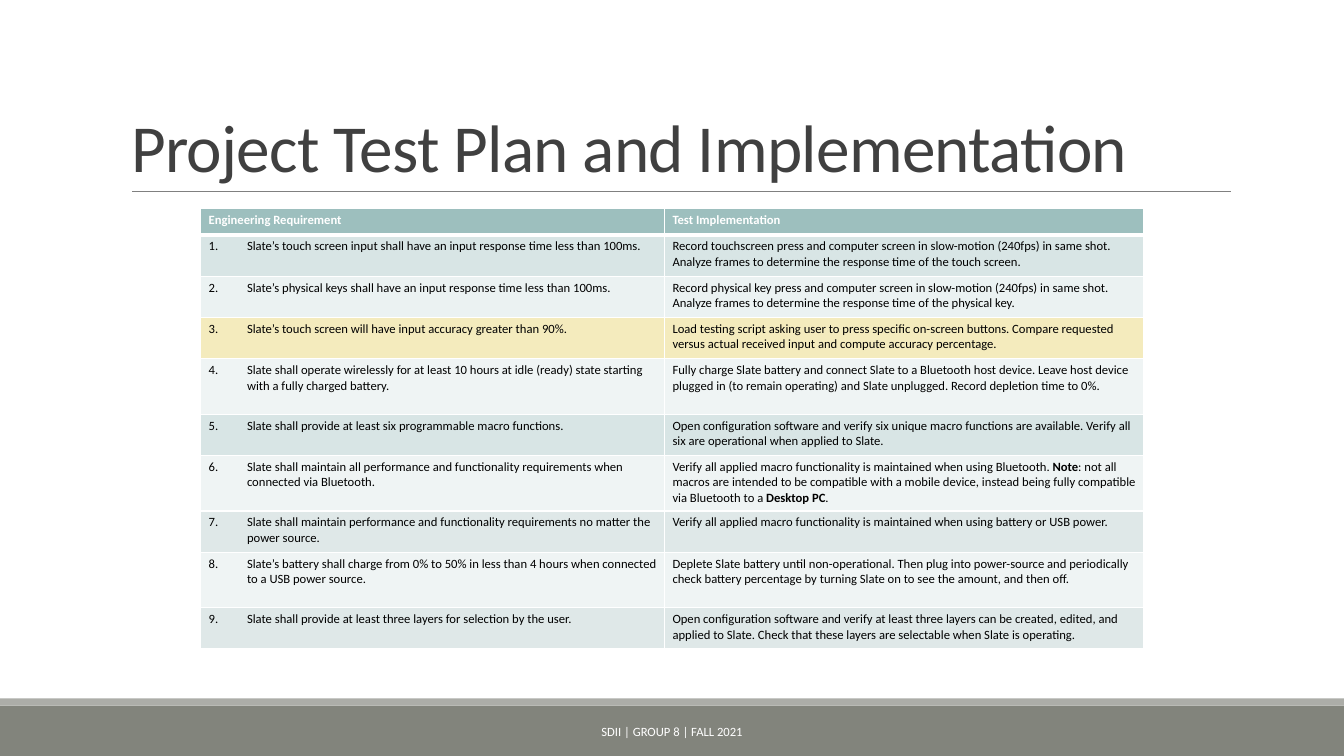
from typing import NamedTuple

from lxml.etree import SubElement
from pptx import Presentation
from pptx.dml.color import RGBColor
from pptx.enum.shapes import MSO_CONNECTOR, MSO_SHAPE
from pptx.enum.text import MSO_ANCHOR, MSO_AUTO_SIZE, PP_ALIGN
from pptx.oxml.ns import qn
from pptx.util import Inches, Pt

FONT = "Calibri"
HUES = {
    "white": "FFFFFF", "black": "000000", "title": "404040", "rule": "808080",
    "foot": "82847C", "strip": "ACADA8", "head": "9DBFBE", "teal": "D8E5E5",
    "pale": "EBF2F2", "gold": "F4EBBD", "mist": "EFF4F4", "sage": "DFE8E8",
}


class Band(NamedTuple):
    top: float
    height: float
    hue: str


class Test(NamedTuple):
    need: str
    plan: str
    hue: str
    height: float = 0.41


BANDS = [Band(7, 0.5, "foot"), Band(6.93, 0.07, "strip")]
HEAD = Test("Engineering Requirement", "Test Implementation", "head", 0.26)
TESTS = [
    Test("Slate’s touch screen input shall have an input response time less than 100ms.",
         "Record touchscreen press and computer screen in slow-motion (240fps) in same shot. "
         "Analyze frames to determine the response time of the touch screen.", "teal"),
    Test("Slate’s physical keys shall have an input response time less than 100ms.",
         "Record physical key press and computer screen in slow-motion (240fps) in same shot. "
         "Analyze frames to determine the response time of the physical key.", "pale"),
    Test("Slate’s touch screen will have input accuracy greater than 90%.",
         "Load testing script asking user to press specific on-screen buttons. Compare requested "
         "versus actual received input and compute accuracy percentage.", "gold"),
    Test("Slate shall operate wirelessly for at least 10 hours at idle (ready) state starting "
         "with a fully charged battery.",
         "Fully charge Slate battery and connect Slate to a Bluetooth host device. Leave host device "
         "plugged in (to remain operating) and Slate unplugged. Record depletion time to 0%.",
         "mist", 0.55),
    Test("Slate shall provide at least six programmable macro functions.",
         "Open configuration software and verify six unique macro functions are available. Verify all "
         "six are operational when applied to Slate.", "teal"),
    Test("Slate shall maintain all performance "
         "and functionality requirements when connected via Bluetooth.",
         "Verify all applied macro functionality is maintained when using Bluetooth. **Note**: not all "
         "macros are intended to be compatible with a mobile device, instead being fully "
         "compatible via Bluetooth to a **Desktop PC**.", "mist", 0.55),
    Test("Slate shall maintain performance and functionality requirements no matter the "
         "power source.",
         "Verify all applied macro functionality is maintained when using battery or USB power.", "sage"),
    Test("Slate’s battery shall charge from 0% to 50% in less than 4 hours when connected "
         "to a USB power source.",
         "Deplete Slate battery until non-operational. Then plug into power-source and periodically "
         "check battery percentage by turning Slate on to see the amount, and then off.", "mist", 0.55),
    Test("Slate shall provide at least three layers for selection by the user.",
         "Open configuration software and verify at least three layers can be created, edited, and "
         "applied to Slate. Check that these layers are selectable when Slate is operating.", "sage"),
]


def tint(name: str) -> RGBColor:
    return RGBColor.from_string(HUES[name])


def style(para, size: float, hue: str, bold: bool = False) -> None:
    para.font.name = FONT
    para.font.size = Pt(size)
    para.font.bold = bold
    para.font.color.rgb = tint(hue)


def add_band(slide, band: Band, width: int) -> None:
    shape = slide.shapes.add_shape(
        MSO_SHAPE.RECTANGLE, 0, Inches(band.top), width, Inches(band.height))
    shape.shadow.inherit = False
    shape.fill.solid()
    shape.fill.fore_color.rgb = tint(band.hue)
    shape.line.fill.background()


def add_rule(slide) -> None:
    rule = slide.shapes.add_connector(
        MSO_CONNECTOR.STRAIGHT, Inches(1.31), Inches(1.9), Inches(12.21), Inches(1.9))
    rule.line.color.rgb = tint("rule")
    rule.line.width = Pt(0.5)
    SubElement(rule._element.spPr, qn("a:effectLst"))


def set_title(slide, text: str) -> None:
    title = slide.shapes.title
    title.left, title.top = Inches(1.2), Inches(0.31)
    title.width, title.height = Inches(11), Inches(1.59)
    frame = title.text_frame
    frame.text = text
    frame.auto_size = MSO_AUTO_SIZE.NONE
    frame.vertical_anchor = MSO_ANCHOR.BOTTOM
    para = frame.paragraphs[0]
    para.alignment = PP_ALIGN.LEFT
    para.line_spacing = 0.85
    style(para, 48, "title")
    para.runs[0]._r.get_or_add_rPr().set("spc", "-50")


def add_foot(slide, text: str) -> None:
    box = slide.shapes.add_textbox(Inches(4.03), Inches(7.06), Inches(5.27), Inches(0.4))
    frame = box.text_frame
    frame.word_wrap = True
    frame.vertical_anchor = MSO_ANCHOR.MIDDLE
    frame.text = text
    para = frame.paragraphs[0]
    para.alignment = PP_ALIGN.CENTER
    style(para, 9, "white")


def add_edge(cell, side: str, width: float) -> None:
    line = SubElement(cell._tc.get_or_add_tcPr(), qn(f"a:ln{side}"), w=str(Pt(width)))
    fill = SubElement(line, qn("a:solidFill"))
    SubElement(fill, qn("a:srgbClr"), val=HUES["white"])


def number(para, start: int) -> None:
    props = para._p.get_or_add_pPr()
    props.set("marL", str(Inches(0.38)))
    props.set("indent", str(Inches(-0.38)))
    SubElement(props, qn("a:buAutoNum"), type="arabicPeriod", startAt=str(start))


def fill_cell(cell, text: str, row: int, col: int, hue: str) -> None:
    cell.margin_left = cell.margin_right = Inches(0.08)
    cell.margin_top = cell.margin_bottom = Inches(0.04)
    thick = {("B", 0), ("T", 1)}
    for side in "LRTB":
        add_edge(cell, side, 3 if (side, row) in thick else 1)
    cell.fill.solid()
    cell.fill.fore_color.rgb = tint(hue)
    para = cell.text_frame.paragraphs[0]
    if row and col == 0:
        number(para, row)
    style(para, 9, "black" if row else "white", bold=row == 0)
    for spot, part in enumerate(text.split("**")):
        run = para.add_run()
        run.text = part
        if spot % 2:
            run.font.bold = True


def add_grid(slide, tests: list[Test]) -> None:
    grid = slide.shapes.add_table(
        len(tests), 2, Inches(1.99), Inches(2.07), Inches(9.35), Inches(4.34)).table
    grid.horz_banding = False
    for col, width in zip(grid.columns, (4.6, 4.75)):
        col.width = Inches(width)
    for row, test in enumerate(tests):
        grid.rows[row].height = Inches(test.height)
        for col, text in enumerate((test.need, test.plan)):
            fill_cell(grid.cell(row, col), text, row, col, test.hue)


def main() -> None:
    deck = Presentation()
    deck.slide_width, deck.slide_height = Inches(13.33), Inches(7.5)
    slide = deck.slides.add_slide(deck.slide_layouts[5])
    for band in BANDS:
        add_band(slide, band, deck.slide_width)
    add_rule(slide)
    set_title(slide, "Project Test Plan and Implementation")
    add_foot(slide, "SDII | GROUP 8 | FALL 2021")
    add_grid(slide, [HEAD, *TESTS])
    deck.save("out.pptx")


if __name__ == "__main__":
    main()
